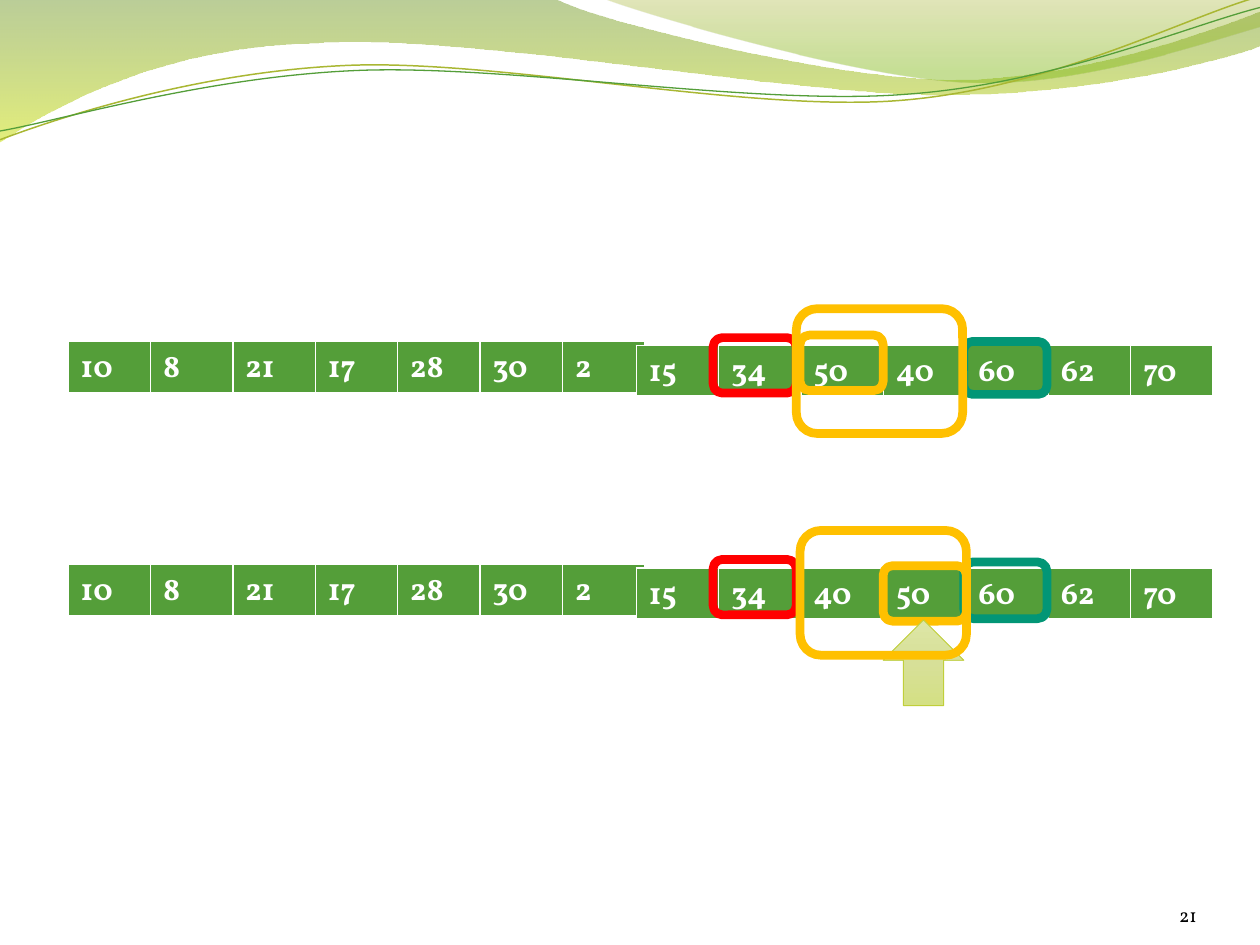
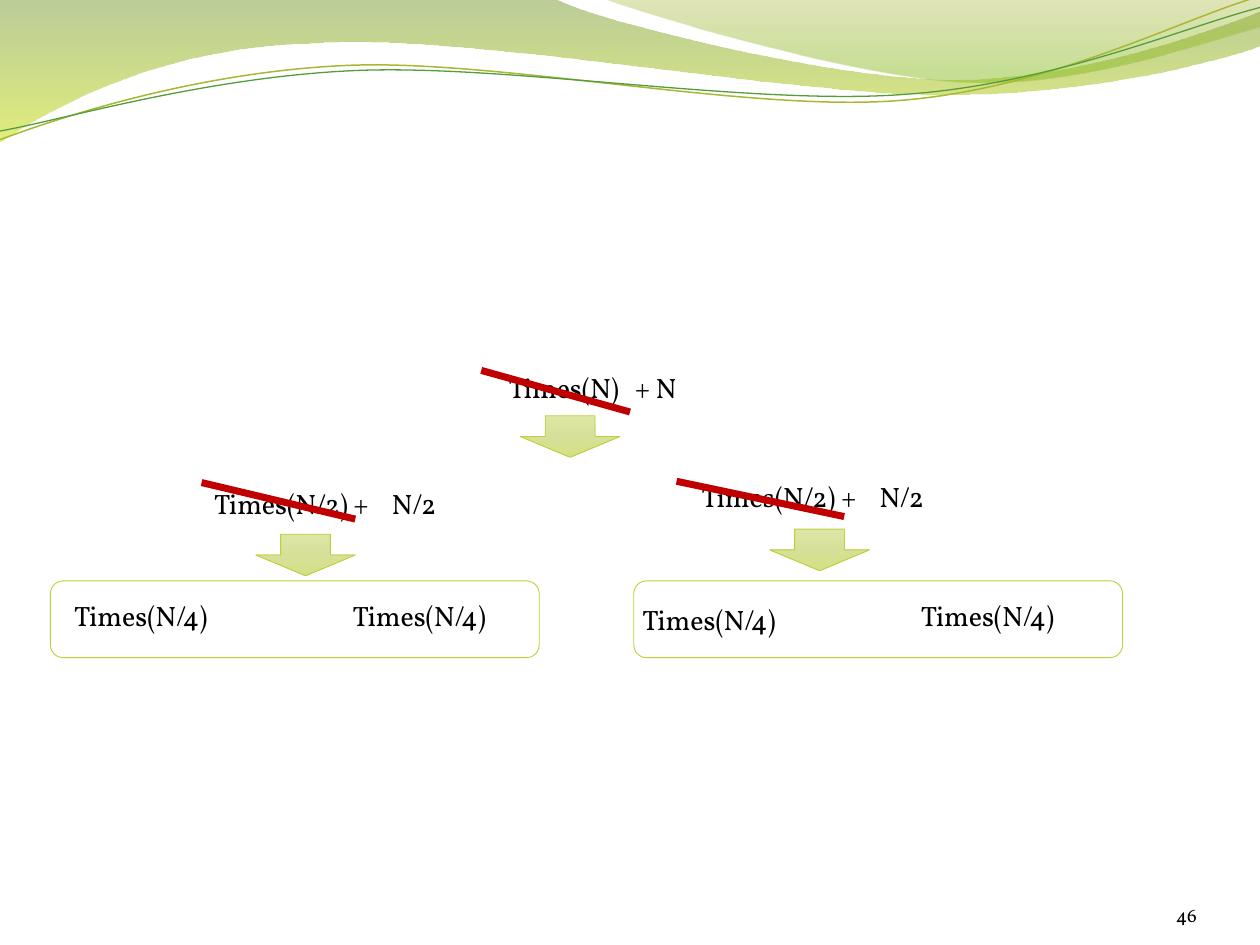
from math import cos, radians, sin

from lxml.etree import SubElement as Sub
from pptx import Presentation
from pptx.dml.color import RGBColor as RGB
from pptx.enum.shapes import MSO_CONNECTOR as LINK, MSO_SHAPE as KIND
from pptx.enum.text import MSO_ANCHOR as ANCHOR, PP_ALIGN as ALIGN
from pptx.oxml.ns import qn
from pptx.util import Inches, Pt

FONT = "Vollkorn"
HUE = {"green": "549E39", "olive": "A9B733", "lime": "C0CF3A", "red": "FF0000",
       "teal": "029676", "gold": "FFC000", "strike": "C00000",
       "white": "FFFFFF", "black": "000000"}

# Gradient stops: position, colour, opacity (all but colour in percent)
ARROW = [(0, "DDE6A6", 100), (50, "D7E098", 100), (100, "D4E084", 100)]

# Waves: each part is a straight point (x, y) or a curve (x1, y1, x2, y2, x, y)
BANDS = [
    ([(0, 0), (4.4, -0.01), (4.75, 0.17, 6.63, 0.63, 7.58, 0.63),
      (8.53, 0.63, 9.58, 0.26, 10, 0.09), (10.01, 0.36),
      (9.83, 0.44, 8.69, 0.76, 7.46, 0.75), (6.22, 0.75, 3.81, 0.28, 2.57, 0.34),
      (1.29, 0.36, 0.46, 0.83, -0.01, 1.13)],
     [(0, "69921C", 45), (100, "CCE10F", 55)]),
    ([(4.79, -0.01), (5.09, 0.11, 6.82, 0.62, 7.68, 0.65),
      (8.55, 0.69, 9.61, 0.32, 10, 0.21), (10, 0)],
     [(0, "9BAA1A", 30), (80, "81BA16", 45)]),
]
CURVES = [
    ([(0, 1.11), (0.48, 0.93, 1.57, 0.57, 2.76, 0.52),
      (3.95, 0.47, 5.92, 0.89, 7.12, 0.8), (8.33, 0.71, 9.38, 0.15, 9.97, -0.02)],
     "olive", 0.85),
    ([(0, 1.04), (0.47, 0.96, 1.63, 0.61, 2.83, 0.56),
      (4.02, 0.51, 5.97, 0.84, 7.17, 0.75), (8.36, 0.67, 9.41, 0.21, 10, 0.06)],
     "green", 0.75),
]
TILT = 2.7
PIN = (5, 0.58)

# Sort slide: two states of the array, each split in a left and a right half
LEFT = [10, 8, 21, 17, 28, 30, 2]
STATES = [
    {"top": 2.71, "right": [15, 34, 50, 40, 60, 62, 70],
     "marks": [("red", 5.66, 2.68, 0.66, 0.44), ("teal", 7.65, 2.71, 0.66, 0.42),
               ("gold", 6.32, 2.45, 1.32, 0.99), ("gold", 6.35, 2.66, 0.66, 0.44)]},
    {"top": 4.48, "right": [15, 34, 40, 50, 60, 62, 70],
     "marks": [("red", 5.66, 4.44, 0.66, 0.44), ("teal", 7.65, 4.46, 0.66, 0.45),
               ("gold", 7.01, 4.49, 0.66, 0.44)]},
]
PIVOT = (7.01, 4.92, 0.64, 0.68)
RANGE = ("gold", 6.35, 4.21, 1.32, 0.99)
HALF = 4.58

# Cost slide: terms as text, left, top, width, tab stop
TERMS = [("Times(N/2) +\tN/2", 1.6, 3.81, 2.22, 1.41),
         ("Times(N/2) +\tN/2", 5.47, 3.76, 2.22, 1.41),
         ("Times(N/4)", 0.49, 4.7, 2.22, 1), ("Times(N/4)", 2.7, 4.7, 2.22, 1),
         ("Times(N/4)", 5, 4.73, 2.22, 1), ("Times(N/4)", 7.21, 4.7, 2.22, 1),
         ("Times(N)\t+ N", 3.94, 2.89, 3.14, 1)]
STRIKES = [(1.6, 3.83, 2.82, 4.12), (5.37, 3.82, 6.7, 4.1), (3.82, 2.94, 5, 3.27)]
DOWNS = [(2.03, 4.24), (6.11, 4.2), (4.13, 3.3)]
GROUPS = [0.4, 5.03]


def rgb(name):
    return RGB.from_string(HUE[name])


def inch(*sizes):
    return [Inches(size) for size in sizes]


def ink(line, color, width):
    line.color.rgb = rgb(color)
    line.width = Pt(width)


def shade(shape, stops):
    """Fill from top to bottom with the given gradient stops."""
    shape.fill.gradient()
    shape.fill.gradient_angle = 270
    row = next(shape.element.iter(qn("a:gsLst")))
    for old in list(row):
        row.remove(old)
    for pos, color, alpha in stops:
        stop = Sub(row, qn("a:gs"), pos=str(pos * 1000))
        tone = Sub(stop, qn("a:srgbClr"), val=color)
        if alpha < 100:
            Sub(tone, qn("a:alpha"), val=str(alpha * 1000))


def turn(dot, angle):
    """Turn a point clockwise about the pin."""
    x, y = dot[0] - PIN[0], dot[1] - PIN[1]
    c, s = cos(radians(angle)), sin(radians(angle))
    return PIN[0] + x * c - y * s, PIN[1] + x * s + y * c


def wave(slide, parts, close, angle=0):
    """Build an outline through all points, then bend its curved parts."""
    dots = [inch(*turn(part[i:i + 2], angle))
            for part in parts for i in range(0, len(part), 2)]
    pen = slide.shapes.build_freeform(*dots[0])
    pen.add_line_segments(dots[1:], close=close)
    shape = pen.convert_to_shape()
    shape.shadow.inherit = False
    shape.rotation = -angle
    legs = iter(list(shape.element.iter(qn("a:lnTo"))))
    for part in parts[1:]:
        leg = next(legs)
        if len(part) == 6:
            bend = leg.makeelement(qn("a:cubicBezTo"))
            leg.addprevious(bend)
            for piece in (leg, next(legs), next(legs)):
                bend.append(piece[0])
                piece.getparent().remove(piece)
    return shape


def add_waves(slide):
    """Draw the waves, then hand them to the layout that the slides share."""
    waves = []
    for parts, stops in BANDS:
        shape = wave(slide, parts, True)
        shade(shape, stops)
        shape.line.fill.background()
        waves.append(shape)
    for parts, color, width in CURVES:
        shape = wave(slide, parts, False, TILT)
        shape.fill.background()
        ink(shape.line, color, width)
        waves.append(shape)
    for shape in waves:
        slide.slide_layout.shapes.element.append(shape.element)


def write(para, text, size, color="black", bold=False):
    run = para.add_run()
    run.text = text
    run.font.color.rgb = rgb(color)
    for key, val in {"name": FONT, "size": Pt(size), "bold": bold}.items():
        setattr(run.font, key, val)


def add_number(slide, number):
    frame = slide.shapes.add_textbox(*inch(8.67, 6.95, 0.83, 0.4)).text_frame
    form = {"margin_left": 0, "margin_right": 0, "margin_top": 0, "margin_bottom": 0,
            "word_wrap": True, "vertical_anchor": ANCHOR.BOTTOM}
    for key, val in form.items():
        setattr(frame, key, val)
    frame.paragraphs[0].alignment = ALIGN.RIGHT
    write(frame.paragraphs[0], str(number), 11)


def add_half(slide, nums, left, top, height, row):
    """Add one half of the array as a header row; its style draws the borders."""
    size = inch(left, top, HALF, height)
    holder = slide.shapes.add_table(1, len(nums), *size)
    table = holder.table
    table.rows[0].height = Inches(row)
    holder.height = Inches(height)
    for col, cell, num in zip(table.columns, table.rows[0].cells, nums):
        col.width = Inches(HALF / len(nums))
        write(cell.text_frame.paragraphs[0], str(num), 18, "white", True)
        cell.fill.solid()
        cell.fill.fore_color.rgb = rgb("green")


def add_mark(slide, color, *box, width=5):
    """Add a rounded outline."""
    mark = slide.shapes.add_shape(KIND.ROUNDED_RECTANGLE, *inch(*box))
    mark.shadow.inherit = False
    mark.fill.background()
    ink(mark.line, color, width)


def add_arrow(slide, kind, *box):
    arrow = slide.shapes.add_shape(kind, *inch(*box))
    arrow.shadow.inherit = False
    shade(arrow, ARROW)
    ink(arrow.line, "lime", 0.5)


def add_term(slide, text, left, top, width, stop):
    frame = slide.shapes.add_textbox(*inch(left, top, width, 0.67)).text_frame
    frame.word_wrap = True
    para = frame.paragraphs[0]
    if "\t" in text:
        tabs = Sub(para._p.get_or_add_pPr(), qn("a:tabLst"))
        Sub(tabs, qn("a:tab"), pos=str(Inches(stop)), algn="l")
    write(para, text, 16)


def add_strike(slide, *ends):
    line = slide.shapes.add_connector(LINK.STRAIGHT, *inch(*ends))
    ink(line.line, "strike", 4)
    Sub(line.element.spPr, qn("a:effectLst"))


def fill_sort(slide):
    add_number(slide, 21)
    for state in STATES:
        add_half(slide, LEFT, 0.54, state["top"], 0.41, 0.41)
        add_half(slide, state["right"], 5.05, state["top"] + 0.03, 0.4, 0.37)
        for mark in state["marks"]:
            add_mark(slide, *mark)
    add_arrow(slide, KIND.UP_ARROW, *PIVOT)
    add_mark(slide, *RANGE)


def fill_cost(slide):
    add_number(slide, 46)
    *leaves, root = TERMS
    for term in leaves:
        add_term(slide, *term)
    *sides, last = STRIKES
    for ends in sides:
        add_strike(slide, *ends)
    *lower, upper = DOWNS
    for spot in lower:
        add_arrow(slide, KIND.DOWN_ARROW, *spot, 0.79, 0.33)
    for left in GROUPS:
        add_mark(slide, "lime", left, 4.61, 3.88, 0.61, width=0.5)
    add_term(slide, *root)
    add_arrow(slide, KIND.DOWN_ARROW, *upper, 0.79, 0.33)
    add_strike(slide, *last)


def main():
    deck = Presentation()
    deck.slide_width, deck.slide_height = inch(10, 7.5)
    blank = deck.slide_layouts[6]
    for fill in (fill_sort, fill_cost):
        fill(deck.slides.add_slide(blank))
    add_waves(deck.slides[0])
    deck.save("out.pptx")


if __name__ == "__main__":
    main()
